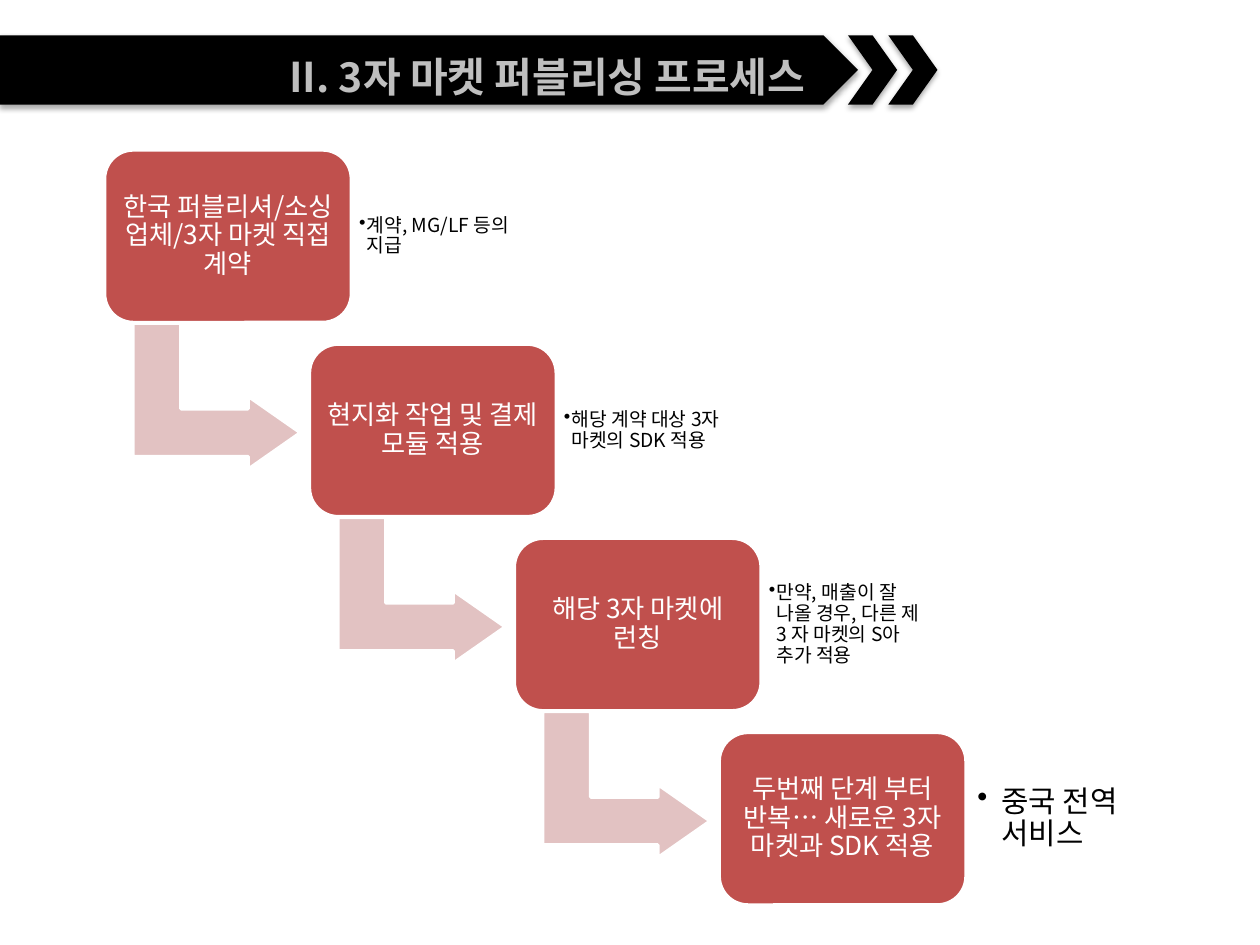
import pptx
import pptx.util
import pptx.dml.color
import pptx.enum.shapes
import pptx.enum.text
import pptx.oxml
import pptx.oxml.ns
from lxml import etree

RGBColor = pptx.dml.color.RGBColor
BLACK = RGBColor(0x00, 0x00, 0x00)
WHITE = RGBColor(0xFF, 0xFF, 0xFF)
SILVER = RGBColor(0xBF, 0xBF, 0xBF)
RED = RGBColor(0xC0, 0x50, 0x4D)
PINK = RGBColor(0xE2, 0xC2, 0xC2)

SHAPE = pptx.enum.shapes.MSO_SHAPE
ALIGN = pptx.enum.text.PP_ALIGN
ANCHOR = pptx.enum.text.MSO_ANCHOR
qn = pptx.oxml.ns.qn

# The grid has 100 columns and 75 rows
COLUMNS, ROWS = 100, 75
STEP_COLUMNS, STEP_ROWS = 16.26, 15.41

SHADOW = (
    '<a:effectLst xmlns:a="http://schemas.openxmlformats.org/drawingml/2006/main">'
    '<a:outerShdw blurRad="39370" dist="22860" dir="5400000" rotWithShape="0">'
    '<a:srgbClr val="000000"><a:alpha val="35000"/></a:srgbClr>'
    '</a:outerShdw></a:effectLst>'
)

# Step title, note, note size, note inset and note hanging indent
STEPS = [
    ("한국 퍼블리셔/소싱 업체/3자 마켓 직접 계약", "계약, MG/LF 등의 지급", 11, 0.06, 0.06),
    ("현지화 작업 및 결제 모듈 적용", "해당 계약 대상 3자 마켓의 SDK 적용", 11, 0.06, 0.06),
    ("해당 3자 마켓에 런칭",
     "만약, 매출이 잘 나올 경우, 다른 제 3 자 마켓의 S아 추가 적용", 11, 0.06, 0.06),
    ("두번째 단계 부터 반복… 새로운 3자 마켓과 SDK 적용", "중국 전역 서비스", 17, 0.09, 0.19),
]


class ProcessSlide:
    body_font = "Noto Sans CJK KR"
    title_font = "Noto Sans CJK SC"

    def __init__(self, presentation):
        self.slide = presentation.slides.add_slide(presentation.slide_layouts[6])
        self.column = presentation.slide_width / COLUMNS
        self.row = presentation.slide_height / ROWS

    def frame(self, left, top, width, height):
        return (round(left * self.column), round(top * self.row),
                round(width * self.column), round(height * self.row))

    def style_font(self, paragraph, name, size, color, bold=False):
        font = paragraph.font
        font.size = pptx.util.Pt(size)
        font.bold = bold
        font.color.rgb = color
        font.name = name
        properties = paragraph._p.pPr.find(qn("a:defRPr"))
        etree.SubElement(properties, qn("a:ea")).set("typeface", name)

    def fill_text(self, shape, text, size, color, inset, space_after):
        text_frame = shape.text_frame
        text_frame.word_wrap = True
        text_frame.vertical_anchor = ANCHOR.MIDDLE
        text_frame.margin_left = text_frame.margin_right = pptx.util.Inches(inset)
        text_frame.margin_top = text_frame.margin_bottom = pptx.util.Inches(inset)
        paragraph = text_frame.paragraphs[0]
        paragraph.text = text
        paragraph.line_spacing = 0.9
        paragraph.space_after = pptx.util.Pt(space_after * size)
        self.style_font(paragraph, self.body_font, size, color)
        return paragraph

    def shape(self, kind, frame, fill, line=None, adjustments=()):
        shape = self.slide.shapes.add_shape(kind, *self.frame(*frame))
        shape.shadow.inherit = False
        shape.fill.solid()
        shape.fill.fore_color.rgb = fill
        if line is None:
            shape.line.fill.background()
        else:
            shape.line.color.rgb = line
            shape.line.width = pptx.util.Pt(2)
        for index, value in enumerate(adjustments):
            shape.adjustments[index] = value
        return shape

    def banner_part(self, kind, left, width):
        shape = self.shape(kind, (left, 2.8, width, 5.5), BLACK)
        properties = shape._element.spPr
        properties.replace(properties.find(qn("a:effectLst")),
                           pptx.oxml.parse_xml(SHADOW))

    def title(self, text):
        box = self.slide.shapes.add_textbox(*self.frame(13.8, 3.6, 51.1, 4.7))
        box.text_frame.word_wrap = True
        paragraph = box.text_frame.paragraphs[0]
        paragraph.text = text
        paragraph.alignment = ALIGN.RIGHT
        self.style_font(paragraph, self.title_font, 23.4, SILVER, bold=True)

    def arrow(self, left, top):
        arrow = self.shape(SHAPE.BENT_UP_ARROW, (left, top, 11.6, 13.3),
                           PINK, WHITE, (0.328, 0.25, 0.358))
        arrow.rotation = 90

    def step(self, left, top, text):
        box = self.shape(SHAPE.ROUNDED_RECTANGLE, (left, top, 19.6, 13.7),
                         RED, WHITE, (0.167,))
        paragraph = self.fill_text(box, text, 15, WHITE, 0.06, 0.35)
        paragraph.alignment = ALIGN.CENTER

    def note(self, left, top, text, size, inset, indent):
        box = self.slide.shapes.add_textbox(*self.frame(left, top, 14.3, 11.1))
        paragraph = self.fill_text(box, text, size, BLACK, inset, 0.15)
        paragraph.level = 1
        # Hanging bullet
        properties = paragraph._p.pPr
        hang = pptx.util.Inches(indent)
        properties.set("marL", str(hang))
        properties.set("indent", str(-hang))
        bullet = etree.Element(qn("a:buChar"))
        bullet.set("char", "•")
        properties.find(qn("a:defRPr")).addprevious(bullet)


def main():
    presentation = pptx.Presentation()
    presentation.slide_width = pptx.util.Inches(10)
    presentation.slide_height = pptx.util.Inches(7.5)
    slide = ProcessSlide(presentation)

    # Title banner
    slide.banner_part(SHAPE.PENTAGON, 0, 68.1)
    for left in (67.3, 70.5):
        slide.banner_part(SHAPE.CHEVRON, left, 3.9)
    slide.title("II. 3자 마켓 퍼블리싱 프로세스")

    # Descending steps, each but the last with an arrow to the next
    for index, (text, note, size, inset, indent) in enumerate(STEPS):
        left = 8.3 + index * STEP_COLUMNS
        top = 11.9 + index * STEP_ROWS
        if index < len(STEPS) - 1:
            slide.arrow(left + 3.1, top + 12.9)
        slide.step(left, top, text)
        slide.note(left + 19.6, top + 1.3, note, size, inset, indent)

    presentation.save("out.pptx")


if __name__ == "__main__":
    main()
